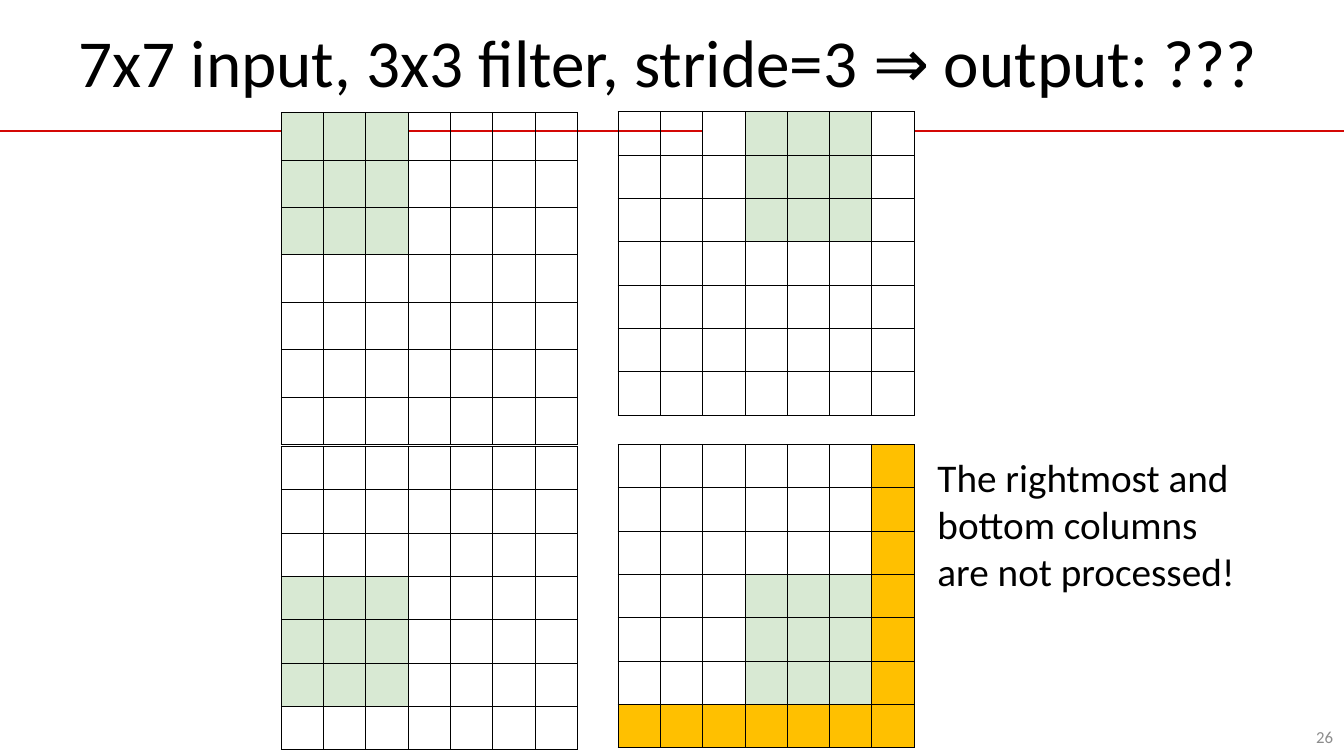
from dataclasses import dataclass

from lxml.etree import SubElement
from pptx import Presentation
from pptx.dml.color import RGBColor
from pptx.enum.shapes import MSO_CONNECTOR
from pptx.enum.text import MSO_ANCHOR, PP_ALIGN
from pptx.oxml.ns import qn
from pptx.util import Inches, Pt

BLACK = RGBColor(0x00, 0x00, 0x00)
WHITE = RGBColor(0xFF, 0xFF, 0xFF)
GRAY = RGBColor(0x8C, 0x8C, 0x8C)
RED = RGBColor(0xD4, 0x08, 0x05)
GREEN = RGBColor(0xD8, 0xE9, 0xD3)
ORANGE = RGBColor(0xFF, 0xC0, 0x00)

FONT = "Calibri"
INPUT_SIZE = 7
FILTER_SIZE = 3
CELL_WIDTH = 0.42
LEFT_COLUMN, RIGHT_COLUMN = 2.79, 6.13


@dataclass
class Label:
    text: str
    left: float
    top: float
    width: float
    height: float
    size: int
    color: RGBColor = BLACK
    anchor: MSO_ANCHOR = MSO_ANCHOR.MIDDLE
    align: PP_ALIGN = PP_ALIGN.LEFT
    line_spacing: float = 1.0


@dataclass
class Region:
    """A block of cells with one fill."""
    row: int
    column: int
    rows: int
    columns: int
    color: RGBColor


@dataclass
class InputGrid:
    left: float
    top: float
    regions: list[Region]
    row_height: float = 0.43


def filter_at(row: int, column: int) -> Region:
    return Region(row, column, FILTER_SIZE, FILTER_SIZE, GREEN)


LABELS = [
    Label("7x7 input, 3x3 filter, stride=3 ⇒ output: ???",
          0.68, 0.07, 11.97, 1.17, 48, line_spacing=0.9),
    Label("26", 10.32, 7.11, 3, 0.4, 12, GRAY, align=PP_ALIGN.RIGHT),
    Label("The rightmost and bottom columns are not processed!",
          9.2, 4.45, 3.34, 1.99, 28, anchor=MSO_ANCHOR.TOP),
]

GRIDS = [
    InputGrid(LEFT_COLUMN, 1.12, [filter_at(0, 0)], row_height=0.47),
    InputGrid(RIGHT_COLUMN, 1.11, [
        Region(0, 2, 3, 1, WHITE),
        Region(0, 6, 7, 1, WHITE),
        filter_at(0, 3),
    ]),
    InputGrid(LEFT_COLUMN, 4.43, [filter_at(3, 0)]),
    InputGrid(RIGHT_COLUMN, 4.41, [
        filter_at(3, 3),
        Region(0, 6, 7, 1, ORANGE),
        Region(6, 0, 1, 7, ORANGE),
    ]),
]


def add_rule(page) -> None:
    rule = page.shapes.add_connector(
        MSO_CONNECTOR.STRAIGHT, 0, Inches(1.3), Inches(13.33), Inches(1.3))
    rule.line.color.rgb = RED
    rule.line.width = Pt(1)
    SubElement(rule._element.spPr, qn("a:effectLst"))


def add_label(page, label: Label) -> None:
    box = page.shapes.add_textbox(Inches(label.left), Inches(label.top),
                                  Inches(label.width), Inches(label.height))
    frame = box.text_frame
    frame.word_wrap = True
    frame.vertical_anchor = label.anchor
    para = frame.paragraphs[0]
    para.text = label.text
    para.alignment = label.align
    para.line_spacing = label.line_spacing
    para.font.name = FONT
    para.font.size = Pt(label.size)
    para.font.color.rgb = label.color


def add_borders(cell) -> None:
    properties = cell._tc.get_or_add_tcPr()
    for side in ("lnL", "lnR", "lnT", "lnB"):
        line = SubElement(properties, qn(f"a:{side}"), w=str(Pt(0.75)))
        fill = SubElement(line, qn("a:solidFill"))
        SubElement(fill, qn("a:srgbClr"), val=str(BLACK))


def add_grid(page, grid: InputGrid) -> None:
    table = page.shapes.add_table(
        INPUT_SIZE, INPUT_SIZE, Inches(grid.left), Inches(grid.top),
        Inches(CELL_WIDTH * INPUT_SIZE),
        Inches(grid.row_height * INPUT_SIZE)).table
    table.first_row = False
    table.horz_banding = False
    for column in table.columns:
        column.width = Inches(CELL_WIDTH)
    for row in table.rows:
        row.height = Inches(grid.row_height)
    for cell in table.iter_cells():
        add_borders(cell)
        cell.fill.background()
    for region in grid.regions:
        for row in range(region.row, region.row + region.rows):
            for column in range(region.column, region.column + region.columns):
                fill = table.cell(row, column).fill
                fill.solid()
                fill.fore_color.rgb = region.color


def main() -> None:
    deck = Presentation()
    deck.slide_width = Inches(13.33)
    deck.slide_height = Inches(7.5)
    page = deck.slides.add_slide(deck.slide_layouts[6])

    # Rule under the title, behind the grids
    add_rule(page)

    # Title, page number and remark
    for label in LABELS:
        add_label(page, label)

    # Four filter positions on the input
    for grid in GRIDS:
        add_grid(page, grid)

    deck.save("out.pptx")


if __name__ == "__main__":
    main()
